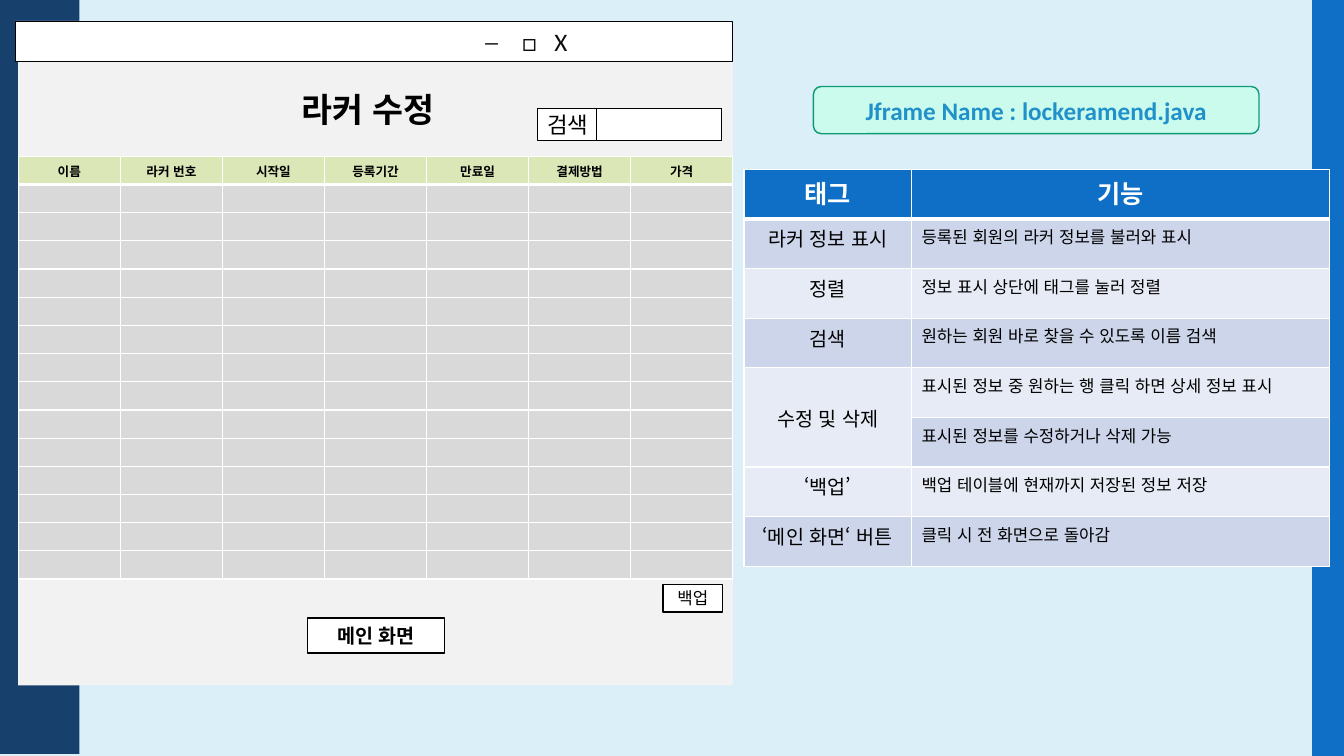
from dataclasses import dataclass

from lxml.etree import SubElement
from pptx import Presentation
from pptx.dml.color import RGBColor
from pptx.enum.lang import MSO_LANGUAGE_ID as Lang
from pptx.enum.shapes import MSO_SHAPE as Shape
from pptx.enum.text import MSO_ANCHOR as Anchor, PP_ALIGN as Align
from pptx.oxml.ns import qn
from pptx.util import Cm, Pt

SLIDE_W, SLIDE_H = 33.87, 19.05


@dataclass(frozen=True)
class Theme:
    sky: str = "DBEFF9"
    navy: str = "17406D"
    blue: str = "0F6FC6"
    panel: str = "F2F2F2"
    white: str = "FFFFFF"
    black: str = "000000"
    window_icon: str = "0D0D0D"
    column_head: str = "DBE7B6"
    empty_row: str = "D9D9D9"
    band_dark: str = "CCD5EA"
    band_light: str = "E7EBF5"
    badge_fill: str = "CAFBED"
    badge_line: str = "0C9B74"
    badge_text: str = "2191C9"
    body: str = "Arial"
    latin: str = "Calibri"
    korean: str = "Noto Sans CJK KR"
    title: int = 24
    heading: int = 18
    search: int = 16
    label: int = 14
    detail: int = 12
    column: int = 9


class SlideBuilder:
    def __init__(self, slide, theme):
        self.slide = slide
        self.theme = theme
        self.paint(slide.background.fill, theme.sky)

    def paint(self, fill, color):
        fill.solid()
        fill.fore_color.rgb = RGBColor.from_string(color)

    def put_text(self, frame, text, size, font=None, color=None, bold=False, align=Align.LEFT):
        paragraph = frame.paragraphs[0]
        paragraph.alignment = align
        if not text:
            SubElement(paragraph._p, qn("a:endParaRPr"), sz=str(size * 100))
            return paragraph
        run = paragraph.add_run()
        run.text = text
        formats = {"name": font or self.theme.body, "size": Pt(size), "bold": bold,
                   "language_id": Lang.KOREAN}
        for name, value in formats.items():
            setattr(run.font, name, value)
        run.font.color.rgb = RGBColor.from_string(color or self.theme.black)
        SubElement(run.font._rPr, qn("a:ea"), typeface=self.theme.korean)
        return paragraph

    def finish(self, shape, fill, line=None, line_width=1):
        shape.shadow.inherit = False
        self.paint(shape.fill, fill)
        if line:
            shape.line.color.rgb = RGBColor.from_string(line)
            shape.line.width = Pt(line_width)
        else:
            shape.line.fill.background()

    def box(self, at, fill, line=None, line_width=1, kind=Shape.RECTANGLE):
        shape = self.slide.shapes.add_shape(kind, *map(Cm, at))
        self.finish(shape, fill, line, line_width)
        shape.text_frame.vertical_anchor = Anchor.MIDDLE
        return shape.text_frame

    def label(self, at, text, **style):
        frame = self.slide.shapes.add_textbox(*map(Cm, at)).text_frame
        frame.word_wrap = False
        self.put_text(frame, text, **style)

    def wavy_edge(self, half_wave, period, waves):
        """Fill the left margin up to a wave; half_wave holds (x, y) from trough to crest."""
        mirrored = [(x, period - y) for x, y in reversed(half_wave[1:-1])]
        points = [(x, y + period * wave) for wave in range(waves)
                  for x, y in half_wave + mirrored]
        points += [(half_wave[0][0], SLIDE_H), (0, SLIDE_H)]
        outline = self.slide.shapes.build_freeform(0, 0, scale=Cm(1))
        outline.add_line_segments(points, close=True)
        self.finish(outline.convert_to_shape(), self.theme.navy)

    def tab_stops(self, paragraph, positions):
        stops = SubElement(paragraph._p.get_or_add_pPr(), qn("a:tabLst"))
        for position in positions:
            SubElement(stops, qn("a:tab"), pos=str(Cm(position)), algn="l")

    def cell_borders(self, cell, row):
        """Draw white cell edges, thick between the header and the first body row."""
        widths = {"L": 1, "R": 1, "T": 3 if row == 1 else 1, "B": 3 if row == 0 else 1}
        for side, width in widths.items():
            edge = SubElement(cell._tc.get_or_add_tcPr(), qn(f"a:ln{side}"), w=str(Pt(width)))
            fill = SubElement(edge, qn("a:solidFill"))
            SubElement(fill, qn("a:srgbClr"), val=self.theme.white)

    def table(self, left, top, widths, row_height, rows, cell_style):
        """cell_style(row, column) returns the fill and the text style of one cell."""
        grid = self.slide.shapes.add_table(
            len(rows), len(widths), Cm(left), Cm(top),
            Cm(sum(widths)), Cm(row_height * len(rows))).table
        for column, width in zip(grid.columns, widths):
            column.width = Cm(width)
        for r, texts in enumerate(rows):
            grid.rows[r].height = Cm(row_height)
            for c, text in enumerate(texts):
                cell = grid.cell(r, c)
                fill, style = cell_style(r, c)
                self.cell_borders(cell, r)
                self.paint(cell.fill, fill)
                self.put_text(cell.text_frame, text, **style)
        return grid


def draw_background(page):
    half_wave = [(1.98, 0), (1.98, 0.18), (2.01, 0.36), (2.03, 0.51), (2.06, 0.64),
                 (2.11, 0.74), (2.16, 0.84), (2.21, 0.97), (2.26, 1.07), (2.31, 1.17),
                 (2.36, 1.27), (2.41, 1.4), (2.44, 1.55), (2.46, 1.73), (2.46, 1.9)]
    page.wavy_edge(half_wave, period=3.81, waves=5)
    page.box((33.07, 0, 0.8, SLIDE_H), page.theme.blue)


def draw_window(page):
    t = page.theme
    page.box((0.46, 1.55, 18.01, 15.72), t.panel)
    main_button = page.box((7.75, 15.57, 3.45, 0.89), t.white, t.black)
    page.put_text(main_button, "메인 화면", t.label, bold=True, align=Align.CENTER)
    page.label((7.34, 2.11, 4.24, 1.27), "라커 수정", size=t.title, bold=True)
    search = page.box((13.54, 2.74, 4.65, 0.81), t.white, t.black)
    page.put_text(search, "검색", t.search)
    page.box((15.04, 2.74, 3.15, 0.81), t.white, t.black)
    title_bar = page.box((0.38, 0.53, 18.08, 1.02), t.white, t.black, 0.25)
    controls = page.put_text(title_bar, "\t─\t□\tX", t.heading, t.latin, t.window_icon)
    page.tab_stops(controls, (11.6, 12.52, 13.34))
    backup_button = page.box((16.71, 14.73, 1.5, 0.69), t.white, t.black)
    page.put_text(backup_button, "백업", t.detail, align=Align.CENTER)


def draw_locker_table(page):
    t = page.theme
    columns = ["이름", "라커 번호", "시작일", "등록기간", "만료일", "결제방법", "가격"]
    rows = [columns] + [[""] * len(columns)] * 14

    def cell_style(row, column):
        fill = t.empty_row if row else t.column_head
        return fill, {"size": t.column, "bold": True, "align": Align.CENTER}

    page.table(0.46, 3.94, [18.01 / len(columns)] * len(columns), 0.71, rows, cell_style)


def draw_feature_table(page):
    t = page.theme
    rows = [
        ("태그", "기능"),
        ("라커 정보 표시", "등록된 회원의 라커 정보를 불러와 표시"),
        ("정렬", "정보 표시 상단에 태그를 눌러 정렬"),
        ("검색", "원하는 회원 바로 찾을 수 있도록 이름 검색"),
        ("수정 및 삭제", "표시된 정보 중 원하는 행 클릭 하면 상세 정보 표시"),
        ("", "표시된 정보를 수정하거나 삭제 가능"),
        ("‘백업’", "백업 테이블에 현재까지 저장된 정보 저장"),
        ("‘메인 화면‘ 버튼", "클릭 시 전 화면으로 돌아감"),
    ]
    korean_font_rows = (2, 3, 7)

    def cell_style(row, column):
        if row == 0:
            return t.blue, {"size": t.heading, "font": t.korean, "color": t.white,
                            "bold": True, "align": Align.CENTER}
        fill = t.band_dark if row % 2 else t.band_light
        if column == 0:
            return fill, {"size": t.label, "align": Align.CENTER}
        return fill, {"size": t.detail, "font": t.korean if row in korean_font_rows else t.body}

    grid = page.table(18.75, 4.27, [4.22, 10.54], 1.25, rows, cell_style)
    edit_tag = grid.cell(4, 0)
    edit_tag.merge(grid.cell(5, 0))
    edit_tag.vertical_anchor = Anchor.MIDDLE


def draw_frame_name(page):
    t = page.theme
    badge = page.box((20.5, 2.18, 11.23, 1.19), t.badge_fill, t.badge_line,
                     kind=Shape.ROUNDED_RECTANGLE)
    page.put_text(badge, "Jframe Name : lockeramend.java", t.heading, t.latin, t.badge_text,
                  bold=True, align=Align.CENTER)


def main():
    deck = Presentation()
    deck.slide_width, deck.slide_height = Cm(SLIDE_W), Cm(SLIDE_H)
    page = SlideBuilder(deck.slides.add_slide(deck.slide_layouts[6]), Theme())
    for draw in (draw_background, draw_window, draw_locker_table, draw_feature_table,
                 draw_frame_name):
        draw(page)
    deck.save("out.pptx")


if __name__ == "__main__":
    main()
